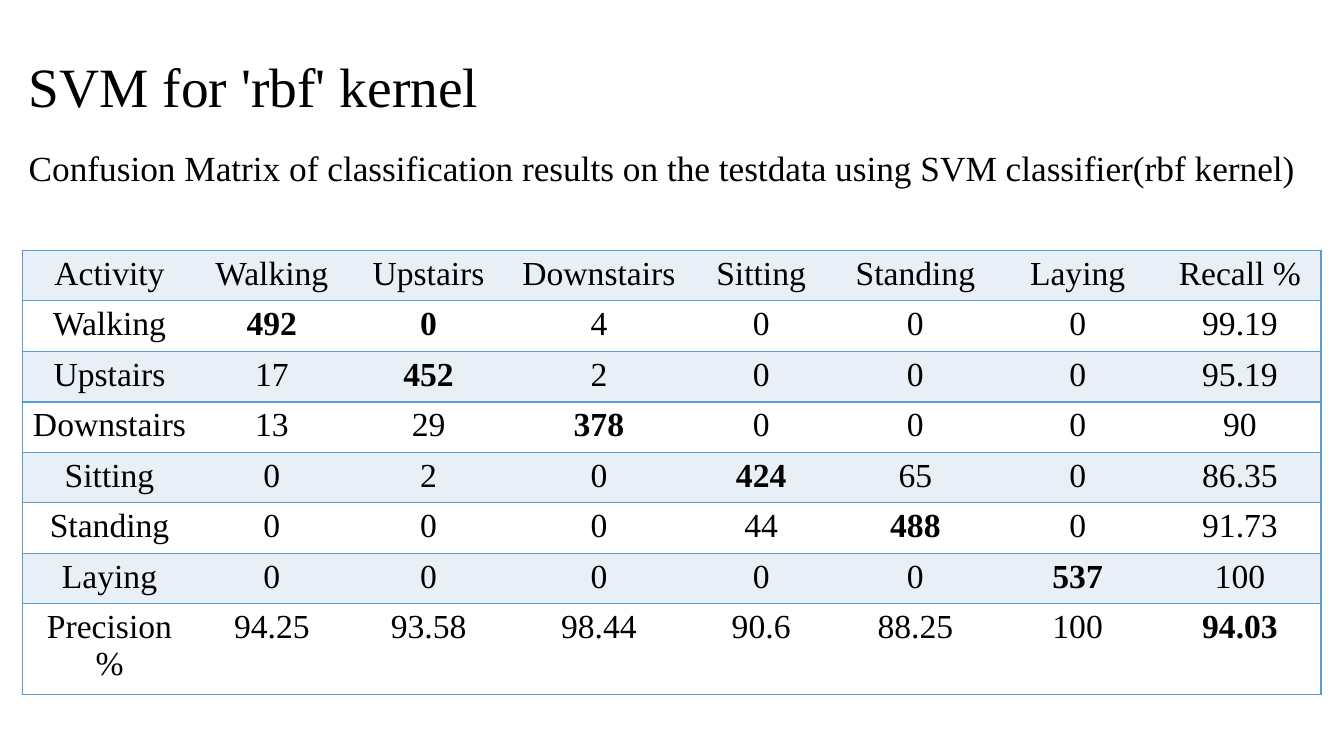
from dataclasses import dataclass

from lxml import etree
from pptx import Presentation
from pptx.dml.color import RGBColor
from pptx.enum.text import MSO_ANCHOR, PP_ALIGN
from pptx.oxml.ns import qn
from pptx.util import Inches, Pt

CENTER = PP_ALIGN.CENTER
MIDDLE = MSO_ANCHOR.MIDDLE
BLANK_LAYOUT = 6


@dataclass(frozen=True)
class Theme:
    font: str = "Times New Roman"
    text: str = "000000"
    band: str = "E9EFF7"
    plain: str = "FFFFFF"
    rule: str = "5B9BD5"
    title_size: float = 39.6
    subtitle_size: float = 25.2
    table_size: float = 24
    rule_width: float = 1


THEME = Theme()
SLIDE_WIDTH, SLIDE_HEIGHT = Inches(13.33), Inches(7.5)

TITLE = "SVM for 'rbf' kernel"
SUBTITLE = ("Confusion Matrix of classification results on the testdata "
            "using SVM classifier(rbf kernel)")
ACTIVITIES = ["Walking", "Upstairs", "Downstairs", "Sitting", "Standing", "Laying"]
COUNTS = [
    [492, 0, 4, 0, 0, 0],
    [17, 452, 2, 0, 0, 0],
    [13, 29, 378, 0, 0, 0],
    [0, 2, 0, 424, 65, 0],
    [0, 0, 0, 44, 488, 0],
    [0, 0, 0, 0, 0, 537],
]
RECALL = [99.19, 95.19, 90, 86.35, 91.73, 100]
PRECISION = [94.25, 93.58, 98.44, 90.6, 88.25, 100]
ACCURACY = 94.03
EXTRA_BOLD = {(1, 2)}  # emphasised besides the diagonal

TABLE_WIDTH = 0.966  # share of the slide's width
COLUMN_WEIGHTS = [1.72, 1.5, 1.61, 1.77, 1.45, 1.61, 1.61, 1.61]
ROW_SHARES = [0.056, 0.067, 0.067] + [0.056] * 5  # of the slide's height


def across(share):
    return round(SLIDE_WIDTH * share)


def down(share):
    return round(SLIDE_HEIGHT * share)


def format_text(paragraph, size, bold=False):
    for run in paragraph.runs:
        run.font.name = THEME.font
        run.font.size = Pt(size)
        run.font.bold = bold
        run.font.color.rgb = RGBColor.from_string(THEME.text)


def add_heading(slide, left, top, width, height):
    shape = slide.shapes.add_textbox(across(left), down(top), across(width), down(height))
    text_frame = shape.text_frame
    text_frame.word_wrap = True
    text_frame.vertical_anchor = MIDDLE
    text_frame.text = f"{TITLE}\n{SUBTITLE}"
    sizes = (THEME.title_size, THEME.subtitle_size)
    for paragraph, size in zip(text_frame.paragraphs, sizes):
        paragraph.line_spacing = 0.9
        format_text(paragraph, size)
    text_frame.paragraphs[0].space_after = Pt(22)


def set_borders(cell, visible_sides):
    properties = cell._tc.get_or_add_tcPr()
    for index, side in enumerate("LRTB"):
        line = etree.Element(qn(f"a:ln{side}"), w=str(Pt(THEME.rule_width)))
        if side in visible_sides:
            fill = etree.SubElement(line, qn("a:solidFill"))
            etree.SubElement(fill, qn("a:srgbClr"), val=THEME.rule)
        else:
            etree.SubElement(line, qn("a:noFill"))
        properties.insert(index, line)


def style_cell(cell, value, fill, bold, visible_sides):
    cell.text_frame.text = str(value)
    paragraph = cell.text_frame.paragraphs[0]
    paragraph.alignment = CENTER
    format_text(paragraph, THEME.table_size, bold)
    cell.fill.solid()
    cell.fill.fore_color.rgb = RGBColor.from_string(fill)
    set_borders(cell, visible_sides)


def matrix_rows():
    header = ["Activity", *ACTIVITIES, "Recall %"]
    body = [[name, *counts, recall]
            for name, counts, recall in zip(ACTIVITIES, COUNTS, RECALL)]
    return [header, *body, ["Precision %", *PRECISION, ACCURACY]]


def add_matrix(slide, left, top):
    rows = matrix_rows()
    last_column = len(COLUMN_WEIGHTS) - 1
    table = slide.shapes.add_table(
        len(rows), len(COLUMN_WEIGHTS), across(left), down(top),
        across(TABLE_WIDTH), down(sum(ROW_SHARES))).table
    for column, weight in zip(table.columns, COLUMN_WEIGHTS):
        column.width = across(TABLE_WIDTH * weight / sum(COLUMN_WEIGHTS))
    for row, share in zip(table.rows, ROW_SHARES):
        row.height = down(share)
    table.first_row = table.horz_banding = False

    for row_index, values in enumerate(rows):
        fill = THEME.plain if row_index % 2 else THEME.band
        for column_index, value in enumerate(values):
            position = (row_index, column_index)
            bold = row_index == column_index > 0 or position in EXTRA_BOLD
            sides = "TB" + {0: "L", last_column: "R"}.get(column_index, "")
            style_cell(table.cell(*position), value, fill, bold, sides)


def main():
    presentation = Presentation()
    presentation.slide_width, presentation.slide_height = SLIDE_WIDTH, SLIDE_HEIGHT
    slide = presentation.slides.add_slide(presentation.slide_layouts[BLANK_LAYOUT])

    # Title and subtitle
    add_heading(slide, left=0.014, top=0.053, width=0.966, height=0.223)
    # Confusion matrix with recall and precision
    add_matrix(slide, left=0.017, top=0.331)

    presentation.save("out.pptx")


main()
